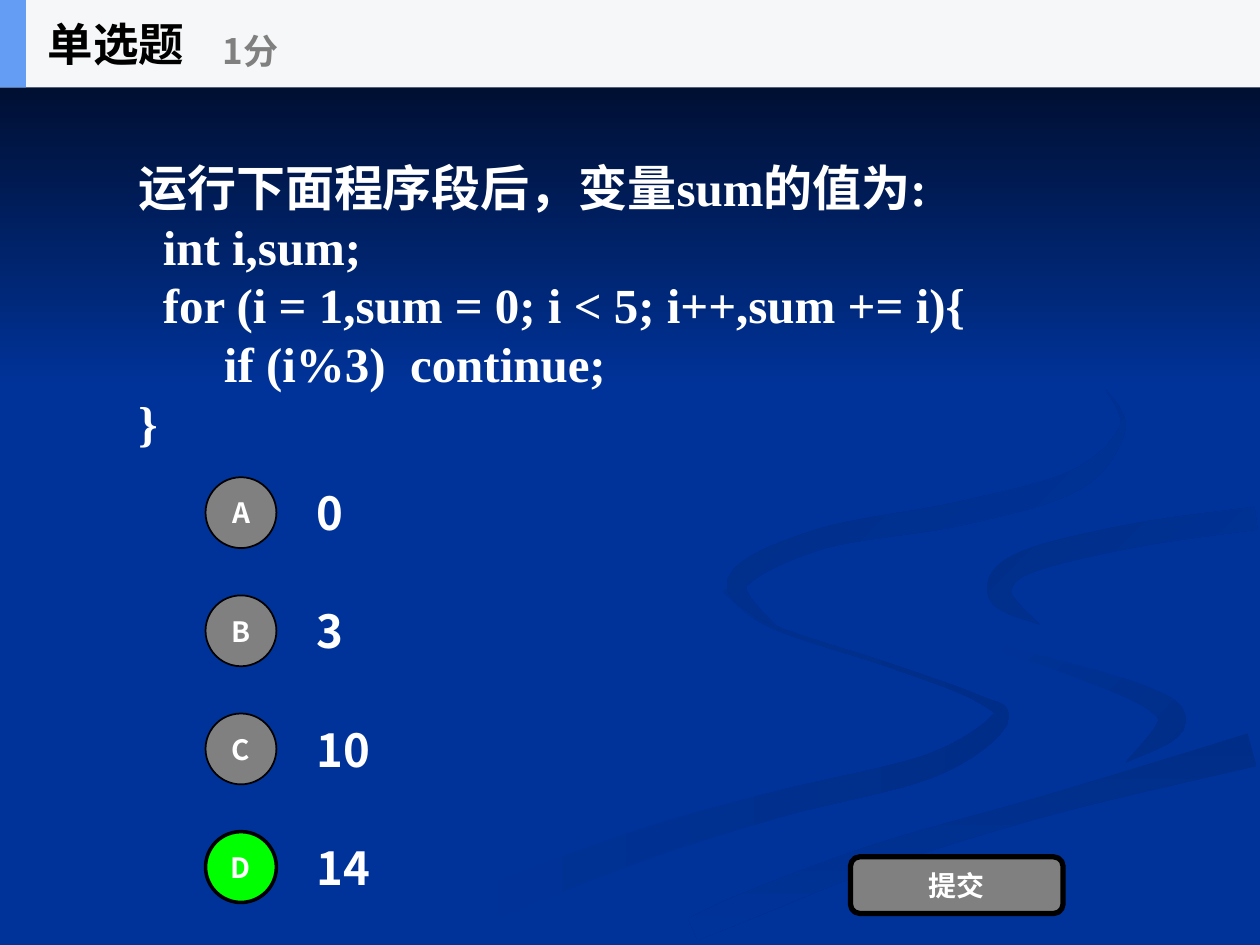
import dataclasses
import math
import lxml.etree
import pptx
import pptx.dml.color
import pptx.enum.shapes
import pptx.enum.text
import pptx.oxml.ns
import pptx.util

COLS, ROWS = 160, 120
UNIT = pptx.util.Inches(10) / COLS
STEPS = 8
KIND = pptx.enum.shapes.MSO_SHAPE
ALIGN = pptx.enum.text.PP_ALIGN
MID = pptx.enum.text.MSO_ANCHOR.MIDDLE


@dataclasses.dataclass(frozen=True)
class Theme:
    """Colours, fonts and type sizes of the quiz slide."""
    back: str = "003399"
    shade: str = "002D87"
    night: str = "000514"
    white: str = "FFFFFF"
    black: str = "000000"
    grey: str = "808080"
    green: str = "00FF00"
    pale: str = "F6F7F8"
    sky: str = "639EF4"
    sans: str = "Noto Sans CJK SC"
    serif: str = "Times New Roman"
    code: int = 28
    head: int = 26
    score: int = 20
    key: int = 16


@dataclasses.dataclass(frozen=True)
class Ribbon:
    """A curved band: (column, row, width) knots and a gradient."""
    knots: tuple
    start: str
    end: str
    turn: int


THEME = Theme()

CREST = Ribbon(((140.5, 49.5, 0), (142.5, 54.5, 0.8), (136.5, 61, 2.6), (122, 65.2, 3),
                (104, 68.5, 2.6), (93.6, 74, 2.6), (99, 80, 0)),
               THEME.shade, THEME.back, 45)
BEND = Ribbon(((92, 75, 0.5), (98, 79.5, 0.5), (113, 84.5, 0.5), (124, 88.6, 0.8),
               (126.9, 91.5, 2.2), (118, 97.3, 3), (98.5, 102.2, 3.3), (80, 107.8, 4),
               (56, 117, 4.5)),
              THEME.back, THEME.shade, 0)
LOOP = Ribbon(((159.5, 65.8, 2.9), (144, 68, 3), (130, 71.5, 3), (127, 75.5, 3), (132, 79.3, 0)),
              THEME.shade, THEME.back, 45)
TAIL = Ribbon(((124, 81.5, 0.5), (136, 85, 1.5), (146, 88.7, 2.5), (148.7, 92, 3.4),
               (143, 96.8, 0)),
              THEME.back, THEME.shade, 45)
ROAD = Ribbon(((159, 95.2, 4.3), (134, 102, 2.6), (112, 108.5, 3), (95, 115, 3.4), (88, 118, 3)),
              THEME.shade, THEME.back, 90)

CODE = ["运行下面程序段后，变量sum的值为:", "  int i,sum;",
        "  for (i = 1,sum = 0; i < 5; i++,sum += i){", "       if (i%3)  continue;", "}"]
PICKS = {"A": "0", "B": "3", "C": "10", "D": "14"}
RIGHT = "D"


def rgb(hue):
    """Turn a hex string into a colour."""
    return pptx.dml.color.RGBColor.from_string(hue)


def sub(box, col, row, wide, high):
    """Give a box in EMU at grid steps from the corner of another box."""
    return (round(box[0] + col * UNIT), round(box[1] + row * UNIT),
            round(wide * UNIT), round(high * UNIT))


def smooth(knots):
    """Run a Catmull-Rom curve through the knots."""
    ends = [knots[0], *knots, knots[-1]]
    dots = []
    for a, b, c, d in zip(ends, ends[1:], ends[2:], ends[3:]):
        for step in range(STEPS):
            t = step / STEPS
            dots.append(tuple(
                q + t / 2 * (r - p + t * (2 * p - 5 * q + 4 * r - s + t * (3 * (q - r) + s - p)))
                for p, q, r, s in zip(a, b, c, d)))
    return dots + [knots[-1]]


def outline(knots):
    """Walk down one side of a ribbon and back up the other."""
    line = smooth(knots)
    near, far = [], []
    for last, (x, y, wide), nxt in zip([line[0], *line], line, [*line[1:], line[-1]]):
        angle = math.atan2(nxt[1] - last[1], nxt[0] - last[0])
        dx, dy = -math.sin(angle) * wide / 2, math.cos(angle) * wide / 2
        near.append((x + dx, y + dy))
        far.append((x - dx, y - dy))
    return near + far[::-1]


def blend(shape, start, end, turn):
    """Fill a shape with a clockwise two-colour gradient and no line."""
    shape.fill.gradient()
    shape.fill.gradient_angle = -turn % 360
    for stop, hue, spot in zip(shape.fill.gradient_stops, (start, end), (0, 1)):
        stop.color.rgb = rgb(hue)
        stop.position = spot
    shape.line.fill.background()
    shape.shadow.inherit = False


def write(shape, lines, size, hue, face=THEME.sans, align=ALIGN.LEFT, inset=None):
    """Set lines of bold text in a shape."""
    frame = shape.text_frame
    form = {"word_wrap": True, "vertical_anchor": MID}
    if inset is not None:
        form.update({f"margin_{side}": inset for side in ("left", "right", "top", "bottom")})
    for name, value in form.items():
        setattr(frame, name, value)
    for spot, line in enumerate(lines):
        para = frame.add_paragraph() if spot else frame.paragraphs[0]
        para.alignment = align
        run = para.add_run()
        run.text = line
        for name, value in {"size": pptx.util.Pt(size), "bold": True, "name": face}.items():
            setattr(run.font, name, value)
        run.font.color.rgb = rgb(hue)
        east = lxml.etree.SubElement(run.font._element, pptx.oxml.ns.qn("a:ea"))
        east.set("typeface", THEME.sans)


def label(slide, box, lines, size, hue, **more):
    """Add a text box."""
    write(slide.shapes.add_textbox(*box), lines, size, hue, **more)


def block(slide, kind, box, hue, edge=0):
    """Add a plain filled shape with a black edge of the given width."""
    shape = slide.shapes.add_shape(kind, *box)
    shape.shadow.inherit = False
    shape.fill.solid()
    shape.fill.fore_color.rgb = rgb(hue)
    if edge:
        shape.line.color.rgb = rgb(THEME.black)
        shape.line.width = pptx.util.Pt(edge)
    else:
        shape.line.fill.background()
    return shape


def wave(slide, box, band):
    """Draw one ribbon inside the box."""
    dots = [sub(box, x, y, 0, 0)[:2] for x, y in outline(band.knots)]
    pen = slide.shapes.build_freeform(*dots[0])
    pen.add_line_segments(dots[1:], close=True)
    blend(pen.convert_to_shape(), band.start, band.end, band.turn)


def scene(slide, box):
    """Paint the ribbons and the dark sky over the background."""
    fill = slide.background.fill
    fill.solid()
    fill.fore_color.rgb = rgb(THEME.back)
    for band in (BEND, TAIL, ROAD, LOOP, CREST):
        wave(slide, box, band)
    night = slide.shapes.add_shape(KIND.RECTANGLE, *sub(box, 0, 0, COLS, 49.3))
    blend(night, THEME.night, THEME.back, 90)


def choice(slide, box, key, text):
    """Place one lettered answer."""
    hue, edge = (THEME.green, 2) if key == RIGHT else (THEME.grey, 1)
    label(slide, sub(box, 12.5, -1.1, 12.8, 11.2), [text], THEME.head, THEME.white)
    disc = block(slide, KIND.OVAL, sub(box, 0, 0, 9, 9), hue, edge)
    write(disc, [key], THEME.key, THEME.white, align=ALIGN.CENTER, inset=0)


def submit(slide, box):
    """Place the submit button."""
    shape = block(slide, KIND.ROUNDED_RECTANGLE, box, THEME.grey, 3)
    write(shape, ["提交"], THEME.key, THEME.white, align=ALIGN.CENTER, inset=0)


def header(slide, box):
    """Place the title bar with question type and score."""
    block(slide, KIND.RECTANGLE, box, THEME.pale)
    block(slide, KIND.RECTANGLE, sub(box, 0, 0, 3.3, 11.1), THEME.sky)
    label(slide, sub(box, 4.5, 0, 33.3, 11.1), ["单选题"], THEME.head, THEME.black)
    label(slide, sub(box, 26.7, 1.9, 40, 9), ["1分"], THEME.score, THEME.grey)


def main():
    """Build the quiz slide."""
    deck = pptx.Presentation()
    deck.slide_width, deck.slide_height = pptx.util.Inches(10), pptx.util.Inches(7.5)
    slide = deck.slides.add_slide(deck.slide_layouts[6])
    page = sub((0, 0), 0, 0, COLS, ROWS)
    scene(slide, page)
    label(slide, sub(page, 16, 11, 128, 55.3), CODE, THEME.code, THEME.white, face=THEME.serif)
    for row, (key, text) in enumerate(PICKS.items()):
        choice(slide, sub(page, 26.1, 60.6 + 15 * row, 38, 9), key, text)
    submit(slide, sub(page, 108, 108.8, 27, 7.2))
    header(slide, sub(page, 0, 0, COLS, 11.1))
    deck.save("out.pptx")


if __name__ == "__main__":
    main()
